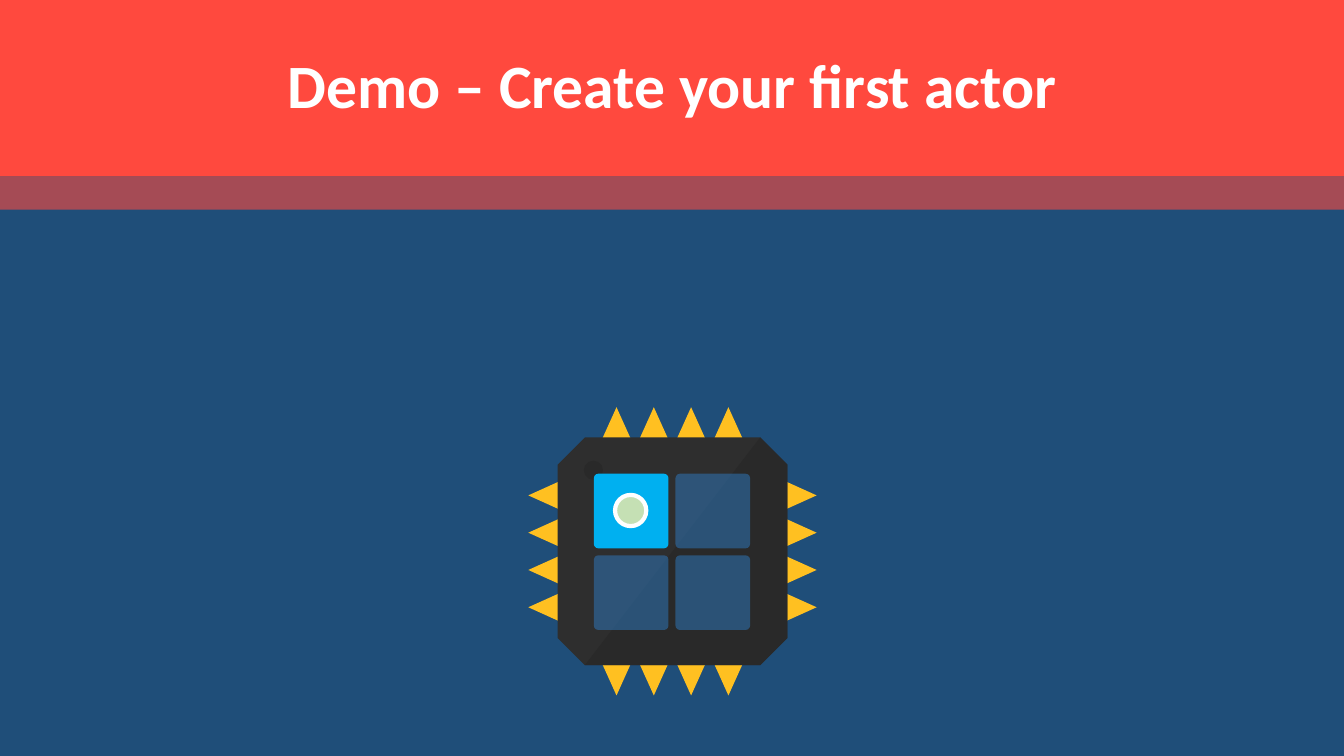
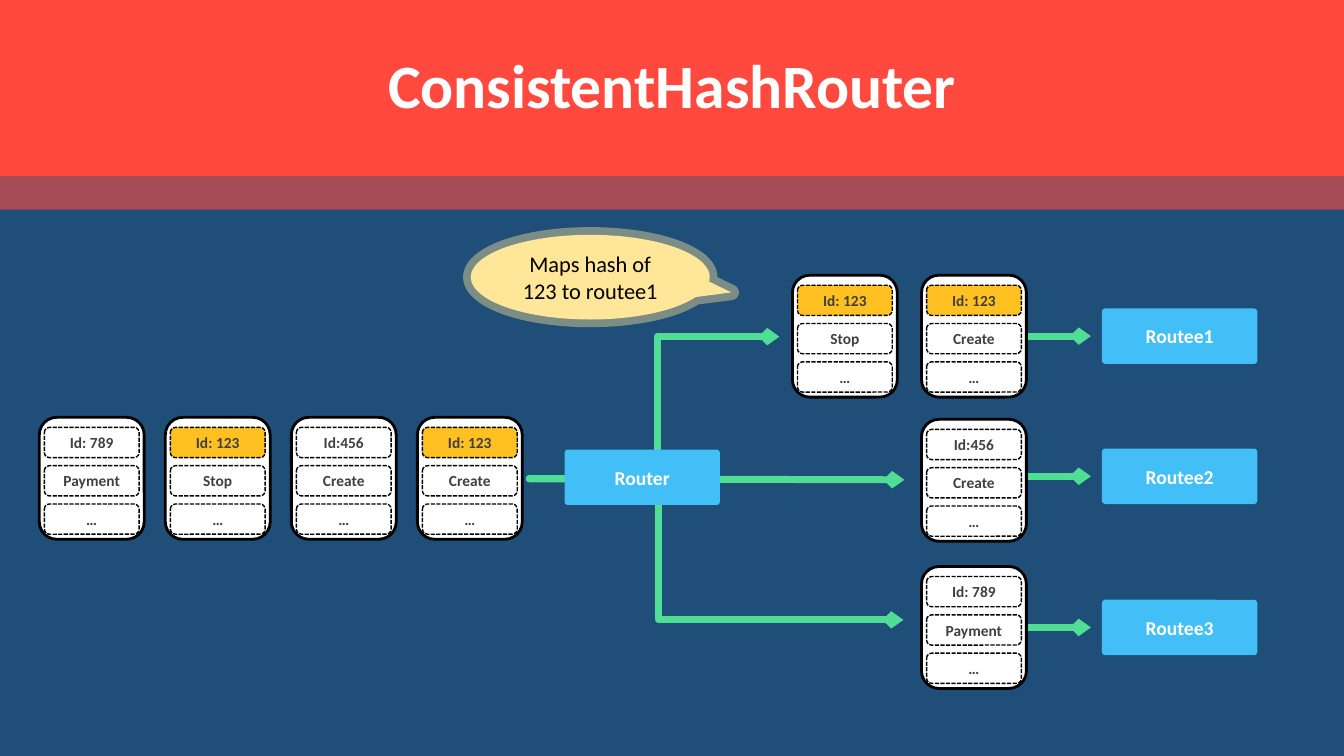
import pptx
import pptx.util
import pptx.dml.color
import pptx.enum.dml
import pptx.enum.shapes
import pptx.enum.text
from lxml import etree
from pptx.oxml.ns import qn

Inches = pptx.util.Inches
SHAPE = pptx.enum.shapes.MSO_SHAPE
CONNECTOR = pptx.enum.shapes.MSO_CONNECTOR

FONT = "Calibri"
NAVY, RED, WHITE, BLACK = "1F4E79", "FF493E", "FFFFFF", "000000"
AMBER, CREAM, GREEN, SKY = "FFC021", "FFE699", "50DE94", "43BFF7"
CHIP_DARK, CHIP_SHADE, CORE_ON, CORE_OFF = "2E2E2E", "292929", "00B0F0", "2E75B6"
ACTOR, GREY = "C5E0B4", "404040"

SLIDE_WIDTH, SLIDE_HEIGHT = 13.33, 7.5
HEADER_HEIGHT, BAND_HEIGHT = 1.75, 0.33

DEMO_TITLE = "Demo – Create your first actor"
ROUTER_TITLE = "ConsistentHashRouter"
CALLOUT_TEXT = "Maps hash of 123 to routee1"

CHIP_CENTER = (6.67, 5.47)
CHIP_SIZE = (2.28, 2.26)
CORNER_CUT = 0.27
TOOTH_COUNT, TOOTH_PITCH, TOOTH_WIDTH = 4, 0.37, 0.28
TOOTH_BASE, TOOTH_TIP = 1.12, 1.43  # distances from the chip centre
CORE_SIZE, CORE_PITCH = 0.74, 0.81

CARD_SIZE = (1.04, 1.21)
FIELD_SIZE = (0.94, 0.3)
FIELD_INSET, FIELD_TOP, FIELD_PITCH = 0.05, 0.1, 0.38
HIGHLIGHTED_ID = "Id: 123"
INCOMING = [("Id: 789", "Payment"), ("Id: 123", "Stop"),
            ("Id:456", "Create"), ("Id: 123", "Create")]
INCOMING_LEFT, INCOMING_TOP, INCOMING_PITCH = 0.39, 4.14, 1.25
ROUTED_LEFT, ROUTED_PITCH = 9.14, 1.28
NODE_SIZE = (1.54, 0.55)
ROUTER_AT = (5.6, 4.46)
ROUTEE_LEFT = 10.93
ROUTES = [  # messages run from the routee outwards
    {"name": "Routee1", "top": 3.06, "cards_top": 2.73,
     "messages": [("Id: 123", "Create"), ("Id: 123", "Stop")]},
    {"name": "Routee2", "top": 4.45, "cards_top": 4.16,
     "messages": [("Id:456", "Create")]},
    {"name": "Routee3", "top": 5.95, "cards_top": 5.62,
     "messages": [("Id: 789", "Payment")]},
]
ROUTER_OUT = (5.25, 4.75)
# end point, and the percentage of the width at which an elbow turns
ROUTER_ARROWS = [((8.97, 4.76), None), ((8.96, 6.15), 34.6), ((7.73, 3.34), 51.2)]


def rgb(color):
    return pptx.dml.color.RGBColor.from_string(color)


def set_fill(fill, color, opacity=100):
    """Fill with a colour at a percentage of opacity; None leaves it empty."""
    if color is None:
        fill.background()
        return
    fill.solid()
    fill.fore_color.rgb = rgb(color)
    if opacity < 100:
        tint = fill._xPr.find(qn("a:solidFill")).find(qn("a:srgbClr"))
        etree.SubElement(tint, qn("a:alpha"), val=str(opacity * 1000))


def style(shape, color, opacity=100, line=None, line_width=1, line_opacity=100):
    shape.shadow.inherit = False
    set_fill(shape.fill, color, opacity)
    set_fill(shape.line.fill, line, line_opacity)
    if line:
        shape.line.width = pptx.util.Pt(line_width)


def add_shape(shapes, kind, left, top, width, height, color, adjust=(), **look):
    shape = shapes.add_shape(kind, Inches(left), Inches(top), Inches(width), Inches(height))
    for index, value in enumerate(adjust):
        shape.adjustments[index] = value
    style(shape, color, **look)
    return shape


def set_text(shape, text, size, color, bold=True):
    frame = shape.text_frame
    frame.text = text
    frame.word_wrap = True
    frame.vertical_anchor = pptx.enum.text.MSO_ANCHOR.MIDDLE
    para = frame.paragraphs[0]
    para.alignment = pptx.enum.text.PP_ALIGN.CENTER
    font = para.runs[0].font
    font.name, font.size, font.bold = FONT, pptx.util.Pt(size), bold
    font.color.rgb = rgb(color)
    return para


def add_outline(shapes, contours, color):
    """Draw closed contours, given as lists of points in inches, as one shape."""
    builder = None
    for contour in contours:
        start, *rest = [(Inches(x), Inches(y)) for x, y in contour]
        if builder is None:
            builder = shapes.build_freeform(*start)
        else:
            builder.move_to(*start)
        builder.add_line_segments(rest, close=True)
    style(builder.convert_to_shape(), color)


def add_arrow(shapes, start, end, turn=None):
    kind = CONNECTOR.STRAIGHT if turn is None else CONNECTOR.ELBOW
    arrow = shapes.add_connector(kind, *[Inches(value) for value in (*start, *end)])
    arrow.line.color.rgb = rgb(GREEN)
    arrow.line.width = pptx.util.Pt(5)
    properties = arrow._element.spPr
    line = properties.find(qn("a:ln"))
    line.set("cap", "rnd")
    etree.SubElement(line, qn("a:round"))
    etree.SubElement(line, qn("a:tailEnd"), type="arrow", w="sm", len="sm")
    etree.SubElement(properties, qn("a:effectLst"))
    if turn is not None:
        guides = properties.find(qn("a:prstGeom")).get_or_add_avLst()
        etree.SubElement(guides, qn("a:gd"), name="adj1", fmla=f"val {round(turn * 1000)}")


def add_slide(deck, title):
    slide = deck.slides.add_slide(deck.slide_layouts[6])
    set_fill(slide.background.fill, NAVY)
    add_shape(slide.shapes, SHAPE.RECTANGLE, 0, HEADER_HEIGHT, SLIDE_WIDTH, BAND_HEIGHT,
              RED, opacity=60)
    add_shape(slide.shapes, SHAPE.RECTANGLE, 0, 0, SLIDE_WIDTH, HEADER_HEIGHT, RED)
    box = slide.shapes.add_textbox(Inches(0.92), Inches(0.15), Inches(11.5), Inches(1.45))
    set_text(box, title, 44, WHITE).line_spacing = 0.9
    return slide


def chip_teeth():
    """Return triangles pointing outwards along the four sides of the chip."""
    center_x, center_y = CHIP_CENTER
    teeth = []
    for index in range(TOOTH_COUNT):
        middle = (index - (TOOTH_COUNT - 1) / 2) * TOOTH_PITCH
        for side in (-1, 1):
            tooth = [(middle - TOOTH_WIDTH / 2, side * TOOTH_BASE),
                     (middle + TOOTH_WIDTH / 2, side * TOOTH_BASE),
                     (middle, side * TOOTH_TIP)]
            teeth.append([(center_x + along, center_y + out) for along, out in tooth])
            teeth.append([(center_x + out, center_y + along) for along, out in tooth])
    return teeth


def add_chip(slide):
    shapes = slide.shapes.add_group_shape().shapes
    center_x, center_y = CHIP_CENTER
    width, height = CHIP_SIZE
    left, top = center_x - width / 2, center_y - height / 2
    right, bottom = left + width, top + height

    add_outline(shapes, chip_teeth(), AMBER)
    add_shape(shapes, SHAPE.OCTAGON, left, top, width, height, CHIP_DARK, adjust=[0.12])
    shade = [(left + CORNER_CUT, bottom), (right - CORNER_CUT, top), (right, top + CORNER_CUT),
             (right, bottom - CORNER_CUT), (right - CORNER_CUT, bottom)]
    add_outline(shapes, [shade], CHIP_SHADE)
    add_shape(shapes, SHAPE.OVAL, 5.79, 4.57, 0.19, 0.19, CHIP_SHADE)

    core_left, core_top = 5.89, 4.7
    for row in range(2):
        for column in range(2):
            active = row == column == 0
            add_shape(shapes, SHAPE.ROUNDED_RECTANGLE, core_left + column * CORE_PITCH,
                      core_top + row * CORE_PITCH, CORE_SIZE, CORE_SIZE,
                      CORE_ON if active else CORE_OFF, adjust=[0.06],
                      opacity=100 if active else 55)
    add_shape(shapes, SHAPE.OVAL, 6.1, 4.91, 0.31, 0.31, ACTOR, line=WHITE, line_width=3)


def add_card(slide, left, top, message):
    shapes = slide.shapes.add_group_shape().shapes
    add_shape(shapes, SHAPE.ROUNDED_RECTANGLE, left, top, *CARD_SIZE, WHITE,
              line=BLACK, line_width=2)
    for index, text in enumerate((*message, "…")):
        field = add_shape(shapes, SHAPE.ROUNDED_RECTANGLE, left + FIELD_INSET,
                          top + FIELD_TOP + index * FIELD_PITCH, *FIELD_SIZE,
                          AMBER if text == HIGHLIGHTED_ID else None, line=BLACK)
        field.line.dash_style = pptx.enum.dml.MSO_LINE.SQUARE_DOT
        field.text_frame.margin_top = field.text_frame.margin_bottom = 0
        set_text(field, text, 11, GREY)


def add_node(slide, left, top, name):
    node = add_shape(slide.shapes, SHAPE.ROUNDED_RECTANGLE, left, top, *NODE_SIZE, SKY,
                     adjust=[0.06])
    set_text(node, name, 14, WHITE)


def add_routing(slide):
    callout = add_shape(slide.shapes, SHAPE.OVAL_CALLOUT, 4.67, 2.33, 2.37, 0.84, CREAM,
                        adjust=[0.59, 0.18], line=CREAM, line_width=11, line_opacity=42)
    set_text(callout, CALLOUT_TEXT, 16, BLACK, bold=False)

    for end, turn in ROUTER_ARROWS:
        add_arrow(slide.shapes, ROUTER_OUT, end, turn)
    add_node(slide, *ROUTER_AT, "Router")

    for index, message in enumerate(INCOMING):
        add_card(slide, INCOMING_LEFT + index * INCOMING_PITCH, INCOMING_TOP, message)
    for route in ROUTES:
        middle = route["top"] + NODE_SIZE[1] / 2
        add_arrow(slide.shapes, (10.14, middle), (10.82, middle))
        for index, message in enumerate(route["messages"]):
            add_card(slide, ROUTED_LEFT - index * ROUTED_PITCH, route["cards_top"], message)
        add_node(slide, ROUTEE_LEFT, route["top"], route["name"])


def main():
    deck = pptx.Presentation()
    deck.slide_width, deck.slide_height = Inches(SLIDE_WIDTH), Inches(SLIDE_HEIGHT)
    add_chip(add_slide(deck, DEMO_TITLE))
    add_routing(add_slide(deck, ROUTER_TITLE))
    deck.save("out.pptx")


if __name__ == "__main__":
    main()
